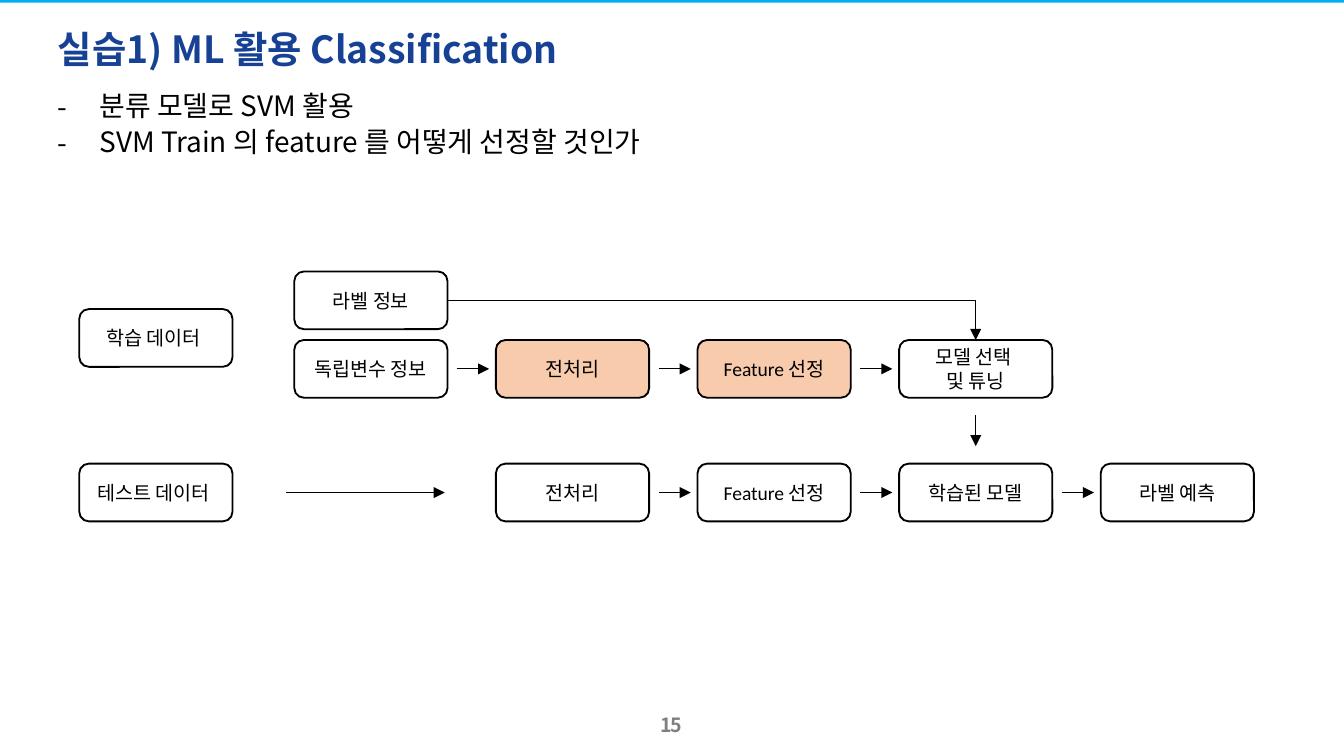
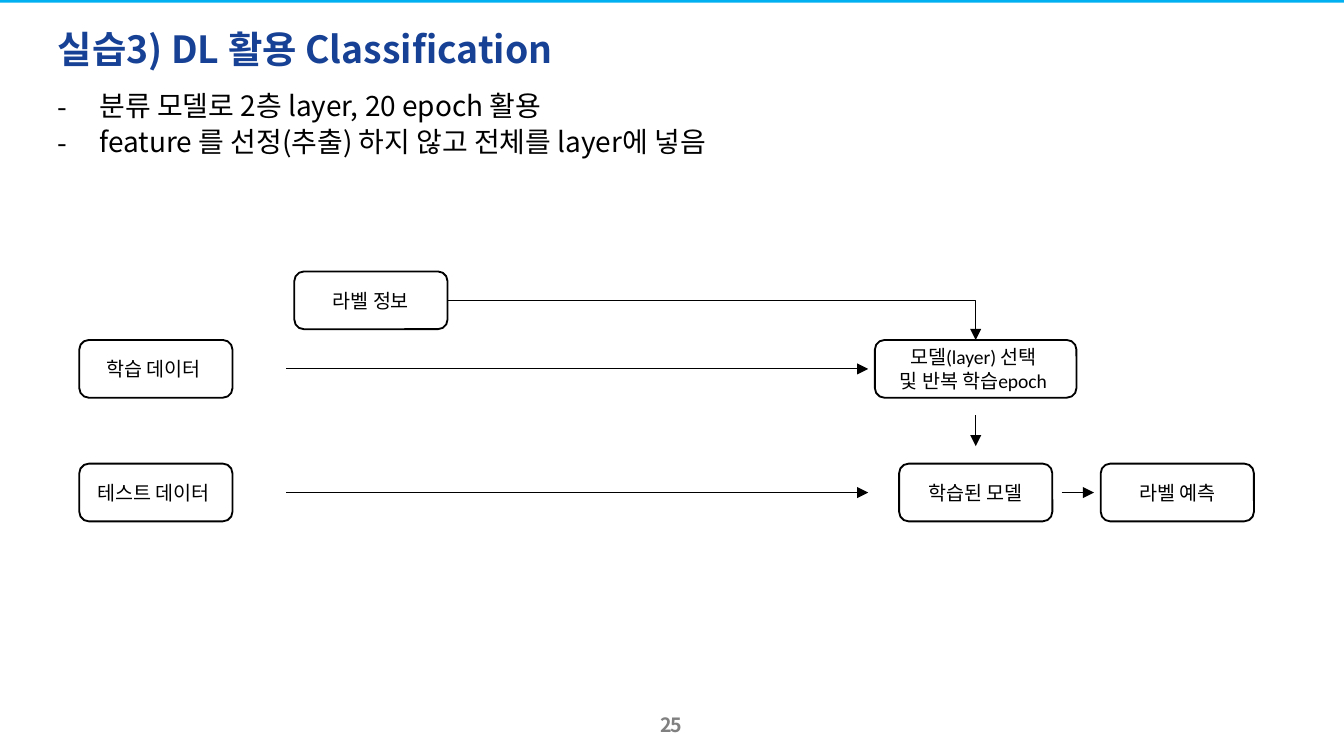
from collections import namedtuple

from lxml.etree import SubElement
from pptx import Presentation
from pptx.dml.color import RGBColor
from pptx.enum.shapes import MSO_CONNECTOR as Connector, MSO_SHAPE as Preset
from pptx.enum.text import MSO_ANCHOR as Anchor, MSO_AUTO_SIZE as AutoSize, PP_ALIGN as Align
from pptx.oxml.ns import qn
from pptx.util import Inches, Pt

Box = namedtuple("Box", "left top width height")

BLACK = RGBColor(0x00, 0x00, 0x00)
NAVY = RGBColor(0x16, 0x41, 0x94)
SKY = RGBColor(0x00, 0xB0, 0xF0)
GRAY = RGBColor(0x80, 0x80, 0x80)
PEACH = RGBColor(0xF8, 0xCB, 0xAD)
HEADING_FONT = "Noto Sans CJK KR"
NODE_FONT = "Calibri"

SLIDE_WIDTH = 10
SLIDE_HEIGHT = SLIDE_WIDTH * 9 / 16
BAND = Box(-0.01, -0.03, 10.01, 0.05)
TITLE = Box(0.43, 0.23, 7.24, 0.3)
BODY = Box(0.43, 0.65, 9.14, 0.53)
PAGE_NUMBER = Box(4.81, 5.25, 0.37, 0.28)
FLOW = Box(0.59, 2.02, 8.74, 1.86)

NODE_WIDTH, NODE_HEIGHT = 1.14, 0.43
FIRST_STEP, STEP_PITCH = 1.6, 1.5
LABEL_ROW, TRAIN_ROW, TEST_ROW = 0, 0.51, 1.43
BETWEEN_ROWS = 0.28
DATA, INPUT, PREPROCESS, FEATURE, MODEL, PREDICT = range(6)
GAP_AFTER, GAP_BEFORE, GAP_VERTICAL = 0.07, 0.05, 0.13
DATA_GAP = 0.4


def emu(*lengths):
    return [Inches(length) for length in lengths]


def style(paragraph, font, size, color, bold=False):
    paragraph.font.name = font
    paragraph.font.size = Pt(size)
    paragraph.font.color.rgb = color
    paragraph.font.bold = bold


def fill_frame(frame, lines, inset):
    frame.margin_left = frame.margin_right = Inches(inset)
    frame.margin_top = frame.margin_bottom = Inches(inset)
    frame.word_wrap = True
    frame.text = "\n".join(lines)
    return frame.paragraphs


def add_text(slide, box, lines):
    frame = slide.shapes.add_textbox(*emu(*box)).text_frame
    paragraphs = fill_frame(frame, lines, 0)
    frame.auto_size = AutoSize.SHAPE_TO_FIT_TEXT
    return frame, paragraphs


def add_band(slide, box):
    band = slide.shapes.add_shape(Preset.RECTANGLE, *emu(*box))
    band.shadow.inherit = False
    band.fill.solid()
    band.fill.fore_color.rgb = SKY
    band.line.fill.background()


def add_title(slide, box, title):
    _, (paragraph,) = add_text(slide, box, [title])
    paragraph.line_spacing = 0.9
    style(paragraph, HEADING_FONT, 20, NAVY, bold=True)


def add_bullets(slide, box, lines):
    _, paragraphs = add_text(slide, box, lines)
    for paragraph in paragraphs:
        paragraph.line_spacing = 1.05
        properties = paragraph._p.get_or_add_pPr()
        properties.set("marL", str(Inches(0.31)))
        properties.set("indent", str(Inches(-0.31)))
        SubElement(properties, qn("a:buFont")).set("typeface", HEADING_FONT)
        SubElement(properties, qn("a:buChar")).set("char", "-")
        style(paragraph, HEADING_FONT, 15, BLACK)


def add_page_number(slide, box, number):
    frame, (paragraph,) = add_text(slide, box, [str(number)])
    frame.word_wrap = False
    frame.vertical_anchor = Anchor.MIDDLE
    frame.margin_left = frame.margin_right = Inches(0.1)
    frame.margin_top = frame.margin_bottom = Inches(0.05)
    paragraph.alignment = Align.CENTER
    style(paragraph, HEADING_FONT, 10.5, GRAY, bold=True)
    paragraph._p.pPr.find(qn("a:defRPr")).set("spc", "-50")


def column_left(box, column):
    if column == DATA:
        return box.left
    return box.left + FIRST_STEP + STEP_PITCH * (column - INPUT)


def add_node(slide, box, column, row, lines, fill=None, width=NODE_WIDTH):
    left = column_left(box, column) - (width - NODE_WIDTH) / 2
    node = slide.shapes.add_shape(
        Preset.ROUNDED_RECTANGLE, *emu(left, box.top + row, width, NODE_HEIGHT))
    node.shadow.inherit = False
    if fill is None:
        node.fill.background()
    else:
        node.fill.solid()
        node.fill.fore_color.rgb = fill
    node.line.color.rgb = BLACK
    node.line.width = Pt(1)
    for paragraph in fill_frame(node.text_frame, lines, 0.04):
        paragraph.alignment = Align.CENTER
        style(paragraph, NODE_FONT, 10.5, BLACK)
    node.text_frame.vertical_anchor = Anchor.MIDDLE
    return node


def add_arrow(slide, start, end, kind=Connector.STRAIGHT):
    arrow = slide.shapes.add_connector(kind, *emu(*start, *end))
    arrow.line.color.rgb = BLACK
    arrow.line.width = Pt(0.5)
    line = arrow.element.spPr.find(qn("a:ln"))
    SubElement(line, qn("a:tailEnd")).set("type", "triangle")
    SubElement(arrow.element.spPr, qn("a:effectLst"))
    return arrow


def add_row_arrow(slide, box, row, start, end):
    middle = box.top + row + NODE_HEIGHT / 2
    add_arrow(slide, (start, middle), (end, middle))


def add_step_arrow(slide, box, column, row):
    start = column_left(box, column) + NODE_WIDTH + GAP_AFTER
    add_row_arrow(slide, box, row, start, column_left(box, column + 1) - GAP_BEFORE)


def add_data_arrow(slide, box, row, end):
    add_row_arrow(slide, box, row, box.left + NODE_WIDTH + DATA_GAP, end)


def add_label_arrow(slide, label, model):
    arrow = add_arrow(slide, (0, 0), (1, 1), Connector.ELBOW)
    arrow.begin_connect(label, 3)
    arrow.end_connect(model, 0)
    arrow.element.spPr.find(qn("a:prstGeom")).set("prst", "bentConnector2")


def add_shared_flow(slide, box, train_data_row, model_lines, model_width):
    label = add_node(slide, box, INPUT, LABEL_ROW, ["라벨 정보"])
    model = add_node(slide, box, MODEL, TRAIN_ROW, model_lines, width=model_width)
    add_label_arrow(slide, label, model)
    add_node(slide, box, DATA, train_data_row, ["학습 데이터 "])
    add_node(slide, box, DATA, TEST_ROW, ["테스트 데이터 "])
    add_node(slide, box, MODEL, TEST_ROW, ["학습된 모델"])
    add_node(slide, box, PREDICT, TEST_ROW, ["라벨 예측"])
    add_step_arrow(slide, box, MODEL, TEST_ROW)
    center = column_left(box, MODEL) + NODE_WIDTH / 2
    add_arrow(slide,
              (center, box.top + TRAIN_ROW + NODE_HEIGHT + GAP_VERTICAL),
              (center, box.top + TEST_ROW - GAP_VERTICAL))


def add_ml_flow(slide, box):
    add_shared_flow(slide, box, BETWEEN_ROWS, ["모델 선택 ", "및 튜닝"], NODE_WIDTH)
    add_node(slide, box, INPUT, TRAIN_ROW, ["독립변수 정보"])
    add_step_arrow(slide, box, INPUT, TRAIN_ROW)
    for row, fill in ((TRAIN_ROW, PEACH), (TEST_ROW, None)):
        for column, text in ((PREPROCESS, "전처리"), (FEATURE, "Feature 선정")):
            add_node(slide, box, column, row, [text], fill)
            add_step_arrow(slide, box, column, row)
    add_data_arrow(slide, box, TEST_ROW, column_left(box, PREPROCESS) - 0.38)


def add_dl_flow(slide, box):
    model_width = 1.5
    add_shared_flow(slide, box, TRAIN_ROW,
                    ["모델(layer) 선택 ", "및 반복 학습epoch "], model_width)
    model_left = column_left(box, MODEL) - (model_width - NODE_WIDTH) / 2
    for row in (TRAIN_ROW, TEST_ROW):
        add_data_arrow(slide, box, row, model_left - GAP_BEFORE)


def add_practice_slide(presentation, number, title, bullets, add_flow):
    slide = presentation.slides.add_slide(presentation.slide_layouts[6])
    add_page_number(slide, PAGE_NUMBER, number)
    add_band(slide, BAND)
    add_title(slide, TITLE, title)
    add_bullets(slide, BODY, bullets)
    add_flow(slide, FLOW)


def main():
    presentation = Presentation()
    presentation.slide_width, presentation.slide_height = emu(SLIDE_WIDTH, SLIDE_HEIGHT)
    add_practice_slide(
        presentation, 15, "실습1) ML 활용 Classification",
        ["분류 모델로 SVM 활용", "SVM Train 의 feature 를 어떻게 선정할 것인가"],
        add_ml_flow)
    add_practice_slide(
        presentation, 25, "실습3) DL 활용 Classification",
        ["분류 모델로 2층 layer, 20 epoch 활용",
         "feature 를 선정(추출) 하지 않고 전체를 layer에 넣음"],
        add_dl_flow)
    presentation.save("out.pptx")


if __name__ == "__main__":
    main()
